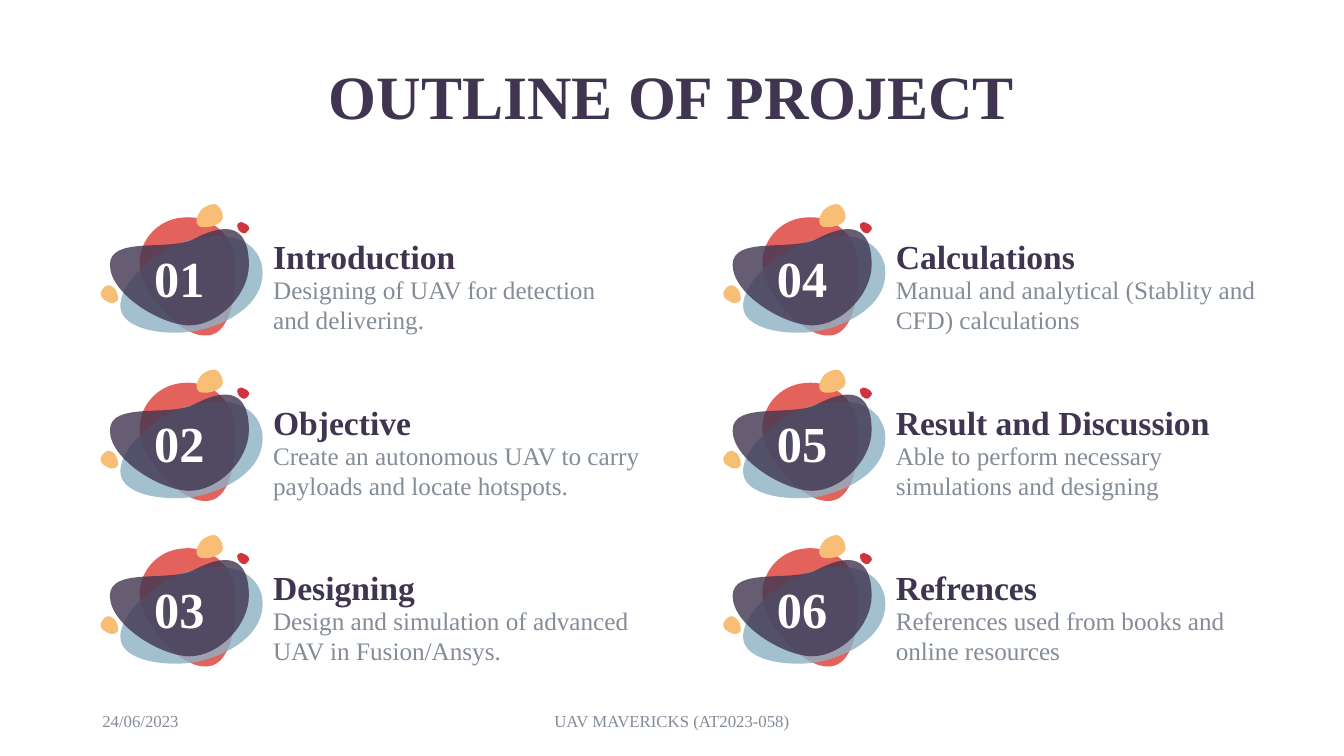
from lxml import etree
from pptx import Presentation
from pptx.dml.color import RGBColor
from pptx.enum.text import MSO_ANCHOR, PP_ALIGN
from pptx.oxml.ns import qn
from pptx.util import Pt

LEFT, CENTER = PP_ALIGN.LEFT, PP_ALIGN.CENTER
TOP, MIDDLE, BOTTOM = MSO_ANCHOR.TOP, MSO_ANCHOR.MIDDLE, MSO_ANCHOR.BOTTOM

PLUM = RGBColor(0x40, 0x35, 0x51)
CORAL = RGBColor(0xE4, 0x62, 0x5C)
BLUE = RGBColor(0x8D, 0xB1, 0xC4)
AMBER = RGBColor(0xF9, 0xBE, 0x75)
CRIMSON = RGBColor(0xD0, 0x34, 0x3C)
GREY = RGBColor(0x83, 0x8C, 0x97)
WHITE = RGBColor(0xFF, 0xFF, 0xFF)

FONT = "Times New Roman"
TITLE_FORMAT = {"name": FONT, "size": Pt(44), "bold": True}
NUMBER_FORMAT = {"name": FONT, "size": Pt(36), "bold": True}
HEADING_FORMAT = {"name": FONT, "size": Pt(24), "bold": True}
BODY_FORMAT = {"name": FONT, "size": Pt(18), "bold": False}
FOOTER_FORMAT = {"name": FONT, "size": Pt(12), "bold": False}

# Closed Bezier outlines in points from the badge corner: anchor, control, control, anchor, ...
CORAL_BLOB = [
    (28, 46.8), (29.5, 64.8), (57.6, 97.2), (76.3, 95), (95, 93.6), (97.2, 58.3),
    (95.8, 40.3), (93.6, 21.8), (77, 8.6), (58.3, 10.8), (39.6, 12.2), (25.9, 28.8)]
BLUE_BLOB = [
    (15.1, 79.2), (20.9, 91.4), (46.1, 95), (66.2, 92.2), (87.1, 88.6), (119.5, 73.4),
    (115.2, 45.4), (113, 34.6), (101.5, 15.8), (59.8, 28.1), (36, 35.3), (7.9, 63.4)]
PLUM_BLOB = [
    (6.5, 44.6), (6.5, 65.5), (43.2, 87.8), (63.4, 87.8), (84.2, 87.8), (105.8, 65.5),
    (105.8, 44.6), (105.8, 23.8), (97.2, 10.1), (67, 25.9), (49, 35.3), (6.5, 23.8)]
TOP_DROP = [
    (69.8, 16.6), (72, 18.7), (81.4, 18), (85.7, 13.7), (89.3, 10.1), (85.7, 4.3),
    (83.5, 2.2), (81.4, 0), (76.3, 1.4), (72, 5), (68.4, 9.4), (67, 14.4)]
SIDE_DROP = [
    (12.2, 69.8), (13, 67.7), (11.5, 61.2), (7.9, 59.8), (4.3, 57.6), (1.4, 61.2),
    (0, 64.1), (-0.7, 66.2), (0.7, 69.1), (4.3, 70.6), (7.2, 72.7), (10.8, 72)]
CRIMSON_DROP = [
    (97.9, 15.1), (96.5, 16.6), (98.6, 20.9), (100.8, 21.6), (103, 23), (105.1, 20.9),
    (105.8, 19.4), (106.6, 18), (105.1, 15.8), (103, 15.1), (100.8, 13.7), (98.6, 13.7)]

# Outline, colour, opacity in percent, carries the number
BADGE_PARTS = [
    (CORAL_BLOB, CORAL, 100, False),
    (BLUE_BLOB, BLUE, 80, False),
    (PLUM_BLOB, PLUM, 80, True),
    (TOP_DROP, AMBER, 100, False),
    (SIDE_DROP, AMBER, 100, False),
    (CRIMSON_DROP, CRIMSON, 100, False),
]

# Heading, heading width, body, body width
ENTRIES = [
    ("Introduction", 235, "Designing of UAV for detection and delivering.", 267),
    ("Objective", 235, "Create an autonomous UAV to carry payloads and locate hotspots.", 277),
    ("Designing", 235, "Design and simulation of advanced UAV in Fusion/Ansys.", 277),
    ("Calculations", 235, "Manual and analytical (Stablity and CFD) calculations", 277),
    ("Result and Discussion", 267, "Able to perform necessary simulations and designing", 277),
    ("Refrences", 294, "References used from books and online resources", 277),
]
ROWS = 3
GRID_LEFT, GRID_TOP = 72, 144.6
COLUMN_PITCH, ROW_PITCH = 444.8, 118.2


def write_text(shape, text, formats, color, align, anchor, margins):
    frame = shape.text_frame
    frame.word_wrap = True
    frame.vertical_anchor = anchor
    for side, margin in zip(("left", "top", "right", "bottom"), margins):
        setattr(frame, "margin_" + side, Pt(margin))
    paragraph = frame.paragraphs[0]
    paragraph.alignment = align
    run = paragraph.add_run()
    run.text = text
    for key, value in formats.items():
        setattr(run.font, key, value)
    run.font.color.rgb = color
    return paragraph


def add_text(shapes, box, *text_settings):
    textbox = shapes.add_textbox(*map(Pt, box))
    write_text(textbox, *text_settings)


def curve_range(values, steps=20):
    """Lowest and highest value that the closed curve reaches on one axis."""
    closed = values + values[:1]
    reached = []
    for first in range(0, len(values), 3):
        a, b, c, d = closed[first:first + 4]
        for t in (step / steps for step in range(steps)):
            s = 1 - t
            reached.append(a * s ** 3 + 3 * b * t * s * s + 3 * c * t * t * s + d * t ** 3)
    return min(reached), max(reached)


def add_blob(shapes, left, top, outline, color, opacity):
    # Frame of the curve
    (x_min, x_max), (y_min, y_max) = (curve_range(list(values)) for values in zip(*outline))
    right, bottom = Pt(left + x_max), Pt(top + y_max)
    builder = shapes.build_freeform(Pt(left + x_min), Pt(top + y_min))
    builder.add_line_segments([(right, Pt(top + y_min)), (right, bottom)], close=True)
    blob = builder.convert_to_shape()

    # Bezier segments inside the frame
    track = next(blob._element.iter(qn("a:path")))
    for child in list(track):
        track.remove(child)
    closed = outline + outline[:1]
    segments = [("a:moveTo", closed[:1])]
    segments += [("a:cubicBezTo", closed[i:i + 3]) for i in range(1, len(closed), 3)]
    for tag, points in segments:
        segment = etree.SubElement(track, qn(tag))
        for x, y in points:
            etree.SubElement(segment, qn("a:pt"), x=str(int(Pt(x - x_min))), y=str(int(Pt(y - y_min))))
    etree.SubElement(track, qn("a:close"))

    blob.shadow.inherit = False
    blob.line.fill.background()
    blob.fill.solid()
    blob.fill.fore_color.rgb = color
    if opacity < 100:
        color_element = next(blob._element.spPr.iter(qn("a:srgbClr")))
        etree.SubElement(color_element, qn("a:alpha"), val=str(opacity * 1000))
    return blob


def add_badge(slide, left, top, number):
    group = slide.shapes.add_group_shape()
    for outline, color, opacity, numbered in BADGE_PARTS:
        blob = add_blob(group.shapes, left, top, outline, color, opacity)
        if numbered:
            write_text(blob, number, NUMBER_FORMAT, WHITE, CENTER, MIDDLE, (3, 3, 3, 3))


def add_entry(slide, left, top, number, entry):
    heading, heading_width, body, body_width = entry
    add_badge(slide, left, top, number)
    text_left = left + 116
    add_text(slide.shapes, (text_left, top + 9, heading_width, 44),
             heading, HEADING_FORMAT, PLUM, LEFT, BOTTOM, (7.2, 14.4, 7.2, 0))
    add_text(slide.shapes, (text_left, top + 51.4, body_width, 44),
             body, BODY_FORMAT, GREY, LEFT, TOP, (7.2, 0, 7.2, 0))


def add_title(slide, box):
    title = slide.shapes.title
    title.left, title.top, title.width, title.height = map(Pt, box)
    paragraph = write_text(title, "OUTLINE OF PROJECT", TITLE_FORMAT, PLUM,
                           CENTER, MIDDLE, (7.2, 3.6, 7.2, 3.6))
    paragraph.line_spacing = 0.9


def add_footer(slide, left, top, height):
    for offset, width, text, align in ((0, 216, "24/06/2023", LEFT),
                                       (252, 324, "UAV MAVERICKS (AT2023-058)", CENTER)):
        add_text(slide.shapes, (left + offset, top, width, height),
                 text, FOOTER_FORMAT, GREY, align, MIDDLE, (7.2, 3.6, 7.2, 3.6))


def main():
    presentation = Presentation()
    presentation.slide_width, presentation.slide_height = Pt(960), Pt(540)
    slide = presentation.slides.add_slide(presentation.slide_layouts[5])

    # Title
    add_title(slide, (66, 26.6, 828, 89.3))

    # Numbered entries, filled column by column
    for index, entry in enumerate(ENTRIES):
        column, row = divmod(index, ROWS)
        add_entry(slide, GRID_LEFT + column * COLUMN_PITCH, GRID_TOP + row * ROW_PITCH,
                  f"{index + 1:02d}", entry)

    # Date and team name
    add_footer(slide, 66, 500.5, 28.75)

    presentation.save("out.pptx")


if __name__ == "__main__":
    main()
